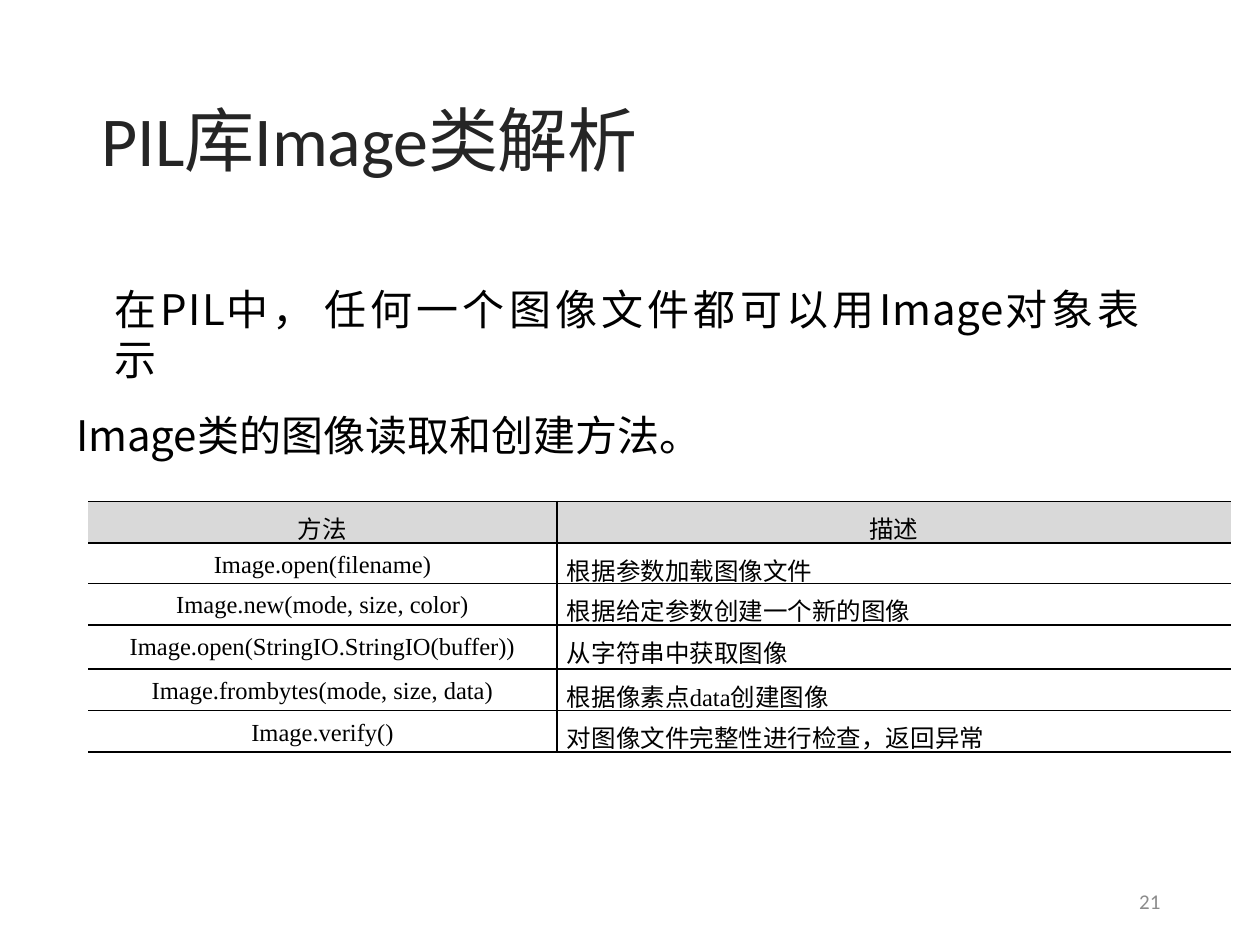
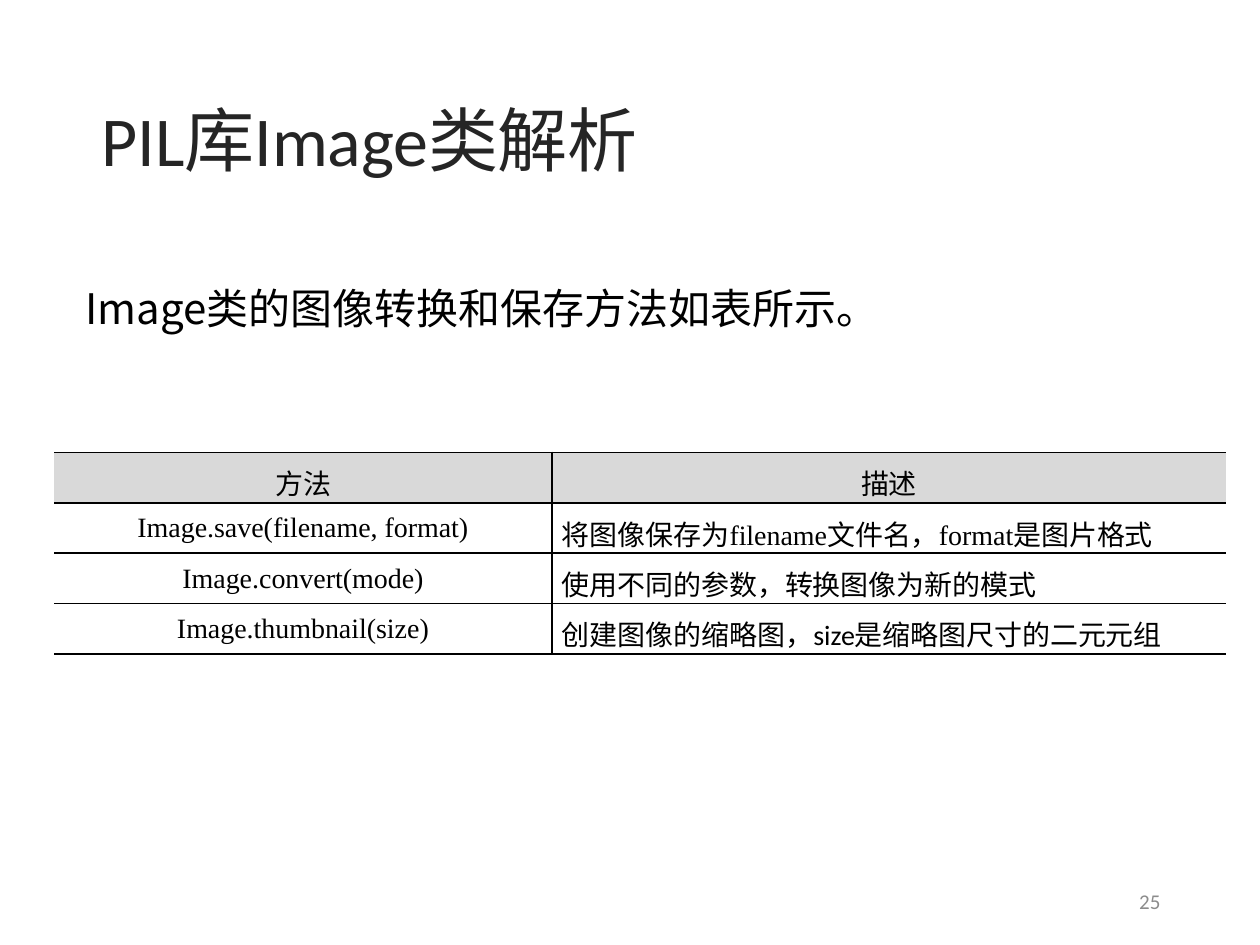
"""Build two slides that list the methods of the PIL Image class."""
import itertools

import pptx
import pptx.dml.color
import pptx.enum.text
import pptx.oxml
import pptx.oxml.ns
import pptx.util

COLORS = {"title": "252525", "text": "000000", "number": "8C8C8C",
          "header": "D9D9D9", "cell": "FFFFFF", "rule": "000000"}
SANS, SERIF, CALIBRI = "Noto Sans CJK SC", "Times New Roman", "Calibri"
ALIGN = pptx.enum.text.PP_ALIGN
ANCHOR = pptx.enum.text.MSO_ANCHOR

presentation = pptx.Presentation()
presentation.slide_width = pptx.util.Inches(10)
presentation.slide_height = pptx.util.Inches(7.5)
GRID = presentation.slide_width / 100


def add_box(slide, place, inset=0.1):
    """Add a wrapping text box placed in grid units and return its text frame."""
    shape = slide.shapes.add_textbox(*[round(length * GRID) for length in place])
    text_frame = shape.text_frame
    text_frame.word_wrap = True
    text_frame.margin_left = text_frame.margin_right = text_frame.margin_bottom = 0
    text_frame.margin_top = round(inset * GRID)
    return text_frame


def write(paragraph, runs, size, color="text"):
    """Fill a paragraph with runs of text, font and letter spacing in points."""
    for text, font, spacing in runs:
        run = paragraph.add_run()
        run.text = text
        run.font.name = font
        run.font.size = pptx.util.Pt(size)
        run.font.color.rgb = pptx.dml.color.RGBColor.from_string(COLORS[color])
        if spacing:
            run._r.get_or_add_rPr().set("spc", str(round(spacing * 100)))


pages = [
    {
        "number": "21",
        "intro_place": (6, 20.4, 88, 12.3),
        "intro_inset": 2.1,
        "intro": [
            (3.1, [("在", 2.4), ("PIL", 0.8), ("中", 2.4), ("， ", 0),
                   ("任何一个图像文件都可以", 2.4), ("用", 2.7), ("Image", 0.5),
                   ("对象表", 2.4), ("示", 0)]),
            (0.1, [("Image", -0.1), ("类的图像读取和创建方法。", 0)]),
        ],
        "table_origin": (7, 39.8),
        "columns": (37.2, 53.5),
        "rows": (3.3, 3.2, 3.3, 3.5, 3.3, 3.3),
        "size": 14,
        "inset": 0.7,
        "latin": SERIF,
        "methods": [
            ("方法", "描述"),
            ("Image.open(filename)", "根据参数加载图像文件"),
            ("Image.new(mode, size, color)", "根据给定参数创建一个新的图像"),
            ("Image.open(StringIO.StringIO(buffer))", "从字符串中获取图像"),
            ("Image.frombytes(mode, size, data)", "根据像素点data创建图像"),
            ("Image.verify()", "对图像文件完整性进行检查，返回异常"),
        ],
    },
    {
        "number": "25",
        "intro_place": (6.7, 22.3, 63.6, 4.3),
        "intro_inset": 0.1,
        "intro": [(0.1, [("Image", 0), ("类的图像转换和保存方法如表所示。", 0)])],
        "table_origin": (4.3, 35.9),
        "columns": (39.5, 53.5),
        "rows": (4, 4, 4, 4),
        "size": 16,
        "inset": 0.8,
        "latin": SERIF,
        "methods": [
            ("方法", "描述"),
            ("Image.save(filename, format)", "将图像保存为filename文件名，format是图片格式"),
            ("Image.convert(mode)", "使用不同的参数，转换图像为新的模式"),
            ("Image.thumbnail(size)", "创建图像的缩略图，size是缩略图尺寸的二元元组"),
        ],
    },
]

for page in pages:
    slide = presentation.slides.add_slide(presentation.slide_layouts[6])

    title = add_box(slide, (8.1, 7.5, 47, 6.9))
    title.vertical_anchor = ANCHOR.MIDDLE
    write(title.paragraphs[0], [("PIL库Image类解析", CALIBRI, -0.1)], 40, "title")

    intro = add_box(slide, page["intro_place"], page["intro_inset"])
    for index, (indent, pieces) in enumerate(page["intro"]):
        paragraph = intro.add_paragraph() if index else intro.paragraphs[0]
        if index:
            paragraph.space_before = pptx.util.Pt(14.4)
        paragraph._p.get_or_add_pPr().set("marL", str(round(indent * GRID)))
        write(paragraph, [(text, SANS, spacing) for text, spacing in pieces], 24)

    left, top = page["table_origin"]
    place = (left, top, sum(page["columns"]), sum(page["rows"]))
    table = slide.shapes.add_table(len(page["rows"]), len(page["columns"]),
                                   *[round(length * GRID) for length in place]).table
    table.first_row = table.horz_banding = False
    for column, width in zip(table.columns, page["columns"]):
        column.width = round(width * GRID)
    for row, height in zip(table.rows, page["rows"]):
        row.height = round(height * GRID)

    for row_index, texts in enumerate(page["methods"]):
        for column_index, text in enumerate(texts):
            cell = table.cell(row_index, column_index)
            cell.margin_left = cell.margin_right = cell.margin_bottom = 0
            cell.margin_top = round(page["inset"] * GRID)
            hidden_side = "R" if column_index else "L"
            for side in "LRTB":
                paint = ("<a:noFill/>" if side == hidden_side else
                         f'<a:solidFill><a:srgbClr val="{COLORS["rule"]}"/></a:solidFill>')
                cell._tc.get_or_add_tcPr().append(pptx.oxml.parse_xml(
                    f'<a:ln{side} {pptx.oxml.ns.nsdecls("a")} w="12700">{paint}</a:ln{side}>'))
            cell.fill.solid()
            cell.fill.fore_color.rgb = pptx.dml.color.RGBColor.from_string(
                COLORS["cell" if row_index else "header"])
            paragraph = cell.text_frame.paragraphs[0]
            if row_index and column_index:
                paragraph._p.get_or_add_pPr().set("marL", str(round(0.8 * GRID)))
            else:
                paragraph.alignment = ALIGN.CENTER
            runs = []
            for is_latin, letters in itertools.groupby(text, str.isascii):
                word = "".join(letters)
                latin_font = CALIBRI if word == "size" else page["latin"]
                runs.append((word, latin_font if is_latin else SANS, 0))
            write(paragraph, runs, page["size"])

    number = add_box(slide, (70.6, 69.5, 21.5, 4), 0.5)
    number.vertical_anchor = ANCHOR.MIDDLE
    number.margin_bottom = number.margin_top
    number.paragraphs[0].alignment = ALIGN.RIGHT
    write(number.paragraphs[0], [(page["number"], CALIBRI, 0)], 12, "number")

presentation.save("out.pptx")
